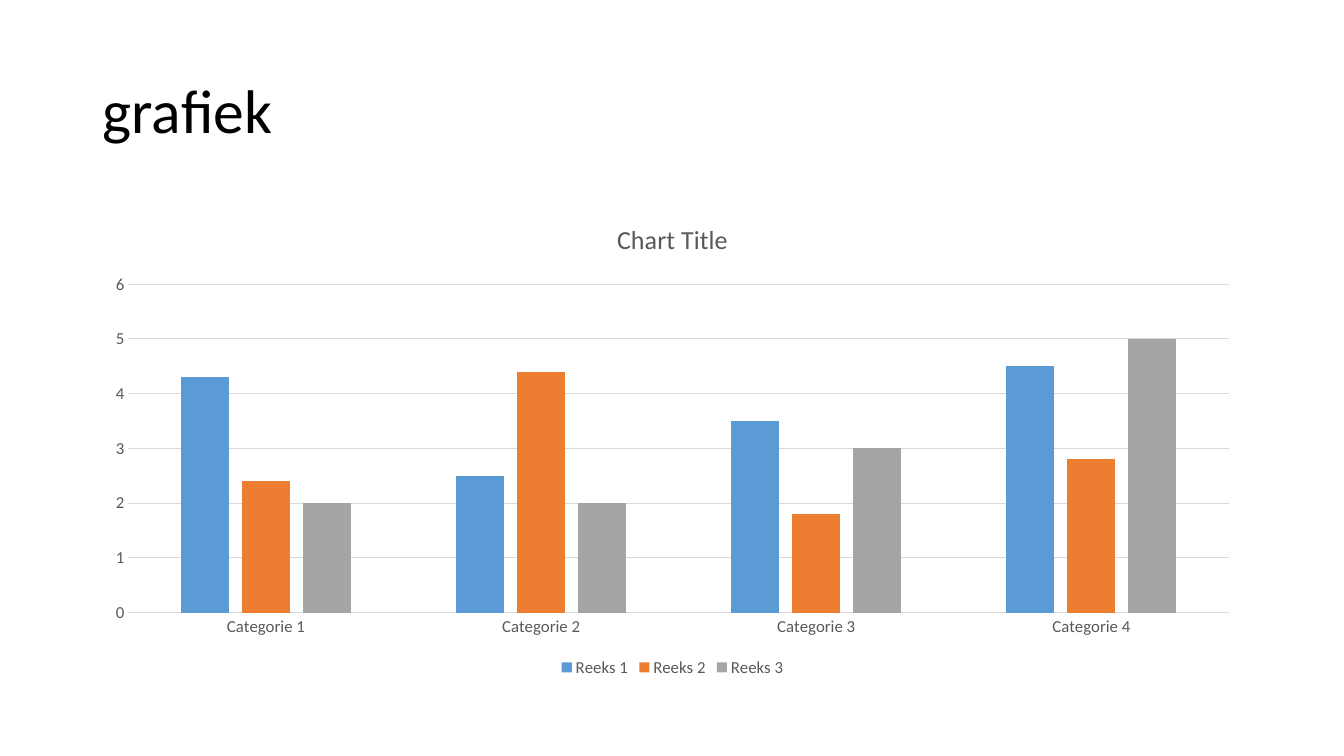
from pptx import Presentation
from pptx.chart.data import CategoryChartData
from pptx.dml.color import RGBColor
from pptx.enum.chart import XL_CHART_TYPE as ChartType
from pptx.enum.chart import XL_LEGEND_POSITION as LegendPos
from pptx.enum.chart import XL_TICK_MARK as Tick
from pptx.enum.text import MSO_ANCHOR as Anchor
from pptx.util import Inches, Pt

WIDTH, HEIGHT = 13.33, 7.5
FONT, BLACK, GREY, RULE = "Calibri", "000000", "595959", "D9D9D9"
CATEGORIES = [f"Categorie {n}" for n in range(1, 5)]
SERIES = [
    ("Reeks 1", "5B9BD5", (4.3, 2.5, 3.5, 4.5)),
    ("Reeks 2", "ED7D31", (2.4, 4.4, 1.8, 2.8)),
    ("Reeks 3", "A5A5A5", (2, 2, 3, 5)),
]


def rgb(code):
    """Turn a hex string into a colour."""
    return RGBColor.from_string(code)


def put(obj, **values):
    """Set every given attribute on an object."""
    for name, value in values.items():
        setattr(obj, name, value)


def box(left, top, width, height):
    """Turn shares of the slide's size into lengths."""
    return (Inches(left * WIDTH), Inches(top * HEIGHT),
            Inches(width * WIDTH), Inches(height * HEIGHT))


def style_font(font, size, color):
    """Give a font its face, size and colour."""
    put(font, name=FONT, size=Pt(size), bold=False)
    font.color.rgb = rgb(color)


def style_line(line):
    """Draw a thin light rule."""
    line.width = Pt(0.75)
    line.color.rgb = rgb(RULE)


def add_title(s, text, area):
    """Add the slide's heading."""
    tf = s.shapes.add_textbox(*area).text_frame
    put(tf, word_wrap=True, vertical_anchor=Anchor.MIDDLE)
    p = tf.paragraphs[0]
    p.line_spacing = 0.9
    r = p.add_run()
    r.text = text
    style_font(r.font, 44, BLACK)


def style_axes(chart):
    """Format both axes and the gridlines."""
    for axis in (chart.category_axis, chart.value_axis):
        put(axis, major_tick_mark=Tick.NONE, minor_tick_mark=Tick.NONE)
        style_font(axis.tick_labels.font, 12, GREY)
    style_line(chart.category_axis.format.line)
    put(chart.value_axis, minimum_scale=0, maximum_scale=6, major_unit=1)
    chart.value_axis.format.line.fill.background()
    style_line(chart.value_axis.major_gridlines.format.line)


def add_column_chart(s, title, area):
    """Add the clustered columns with title and legend."""
    data = CategoryChartData()
    data.categories = CATEGORIES
    for name, _, values in SERIES:
        data.add_series(name, values)
    chart = s.shapes.add_chart(ChartType.COLUMN_CLUSTERED, *area, data).chart
    style_font(chart.font, 10, BLACK)
    chart.has_title = True
    p = chart.chart_title.text_frame.paragraphs[0]
    r = p.add_run()
    r.text = title
    style_font(r.font, 18.6, GREY)
    style_axes(chart)
    chart.has_legend = True
    put(chart.legend, position=LegendPos.BOTTOM, include_in_layout=False)
    style_font(chart.legend.font, 12, GREY)
    plot = chart.plots[0]
    put(plot, gap_width=219, overlap=-27, vary_by_categories=False)
    for series, (_, color, _) in zip(plot.series, SERIES):
        series.format.fill.solid()
        series.format.fill.fore_color.rgb = rgb(color)


def main():
    """Build and save the slide."""
    prs = Presentation()
    put(prs, slide_width=Inches(WIDTH), slide_height=Inches(HEIGHT))
    s = prs.slides.add_slide(prs.slide_layouts[6])
    left, width = 0.92 / WIDTH, 11.5 / WIDTH
    add_title(s, "grafiek", box(left, 0.4 / HEIGHT, width, 1.45 / HEIGHT))
    add_column_chart(s, "Chart Title",
                     box(left, 2 / HEIGHT, width, 4.76 / HEIGHT))
    prs.save("out.pptx")


if __name__ == "__main__":
    main()
